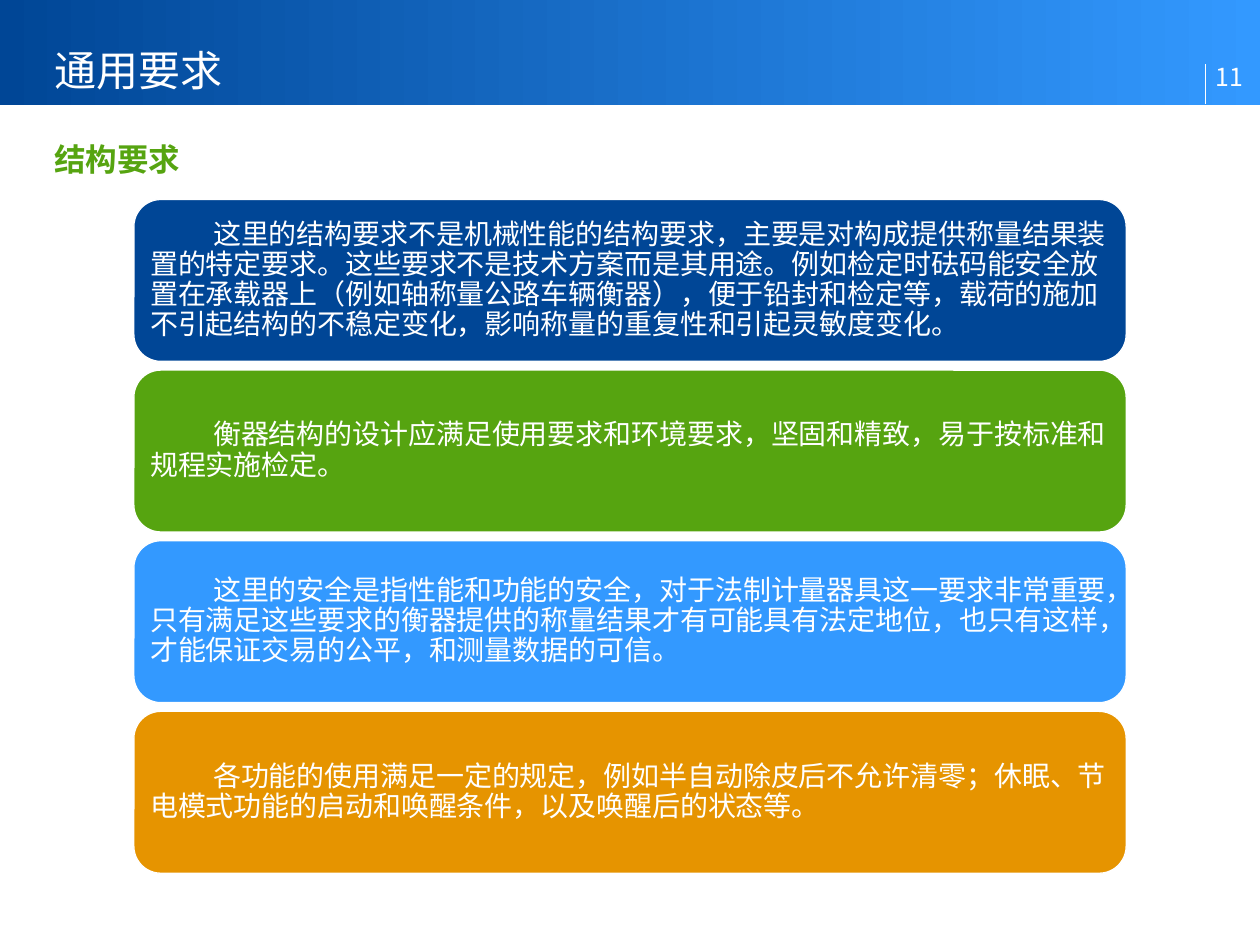
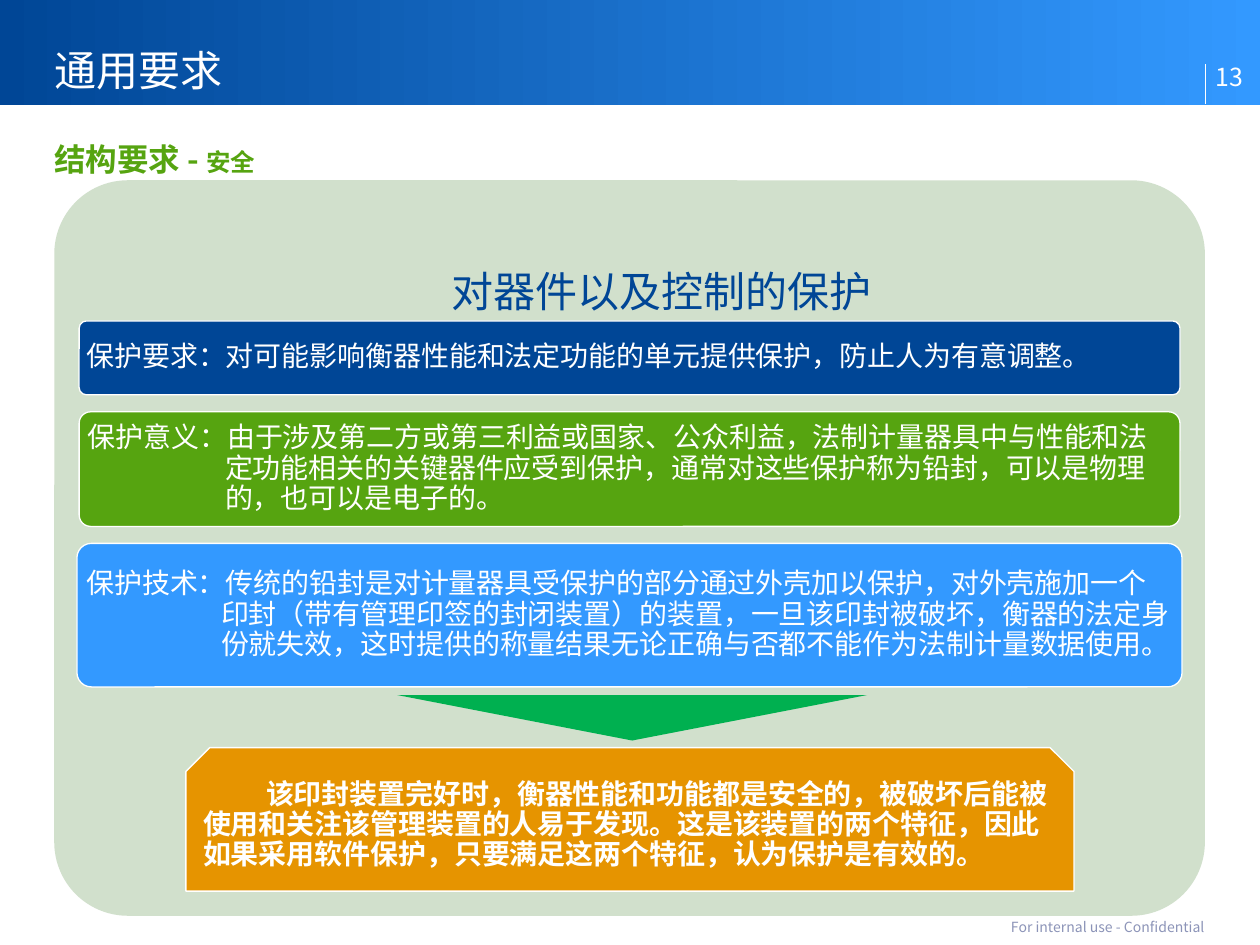
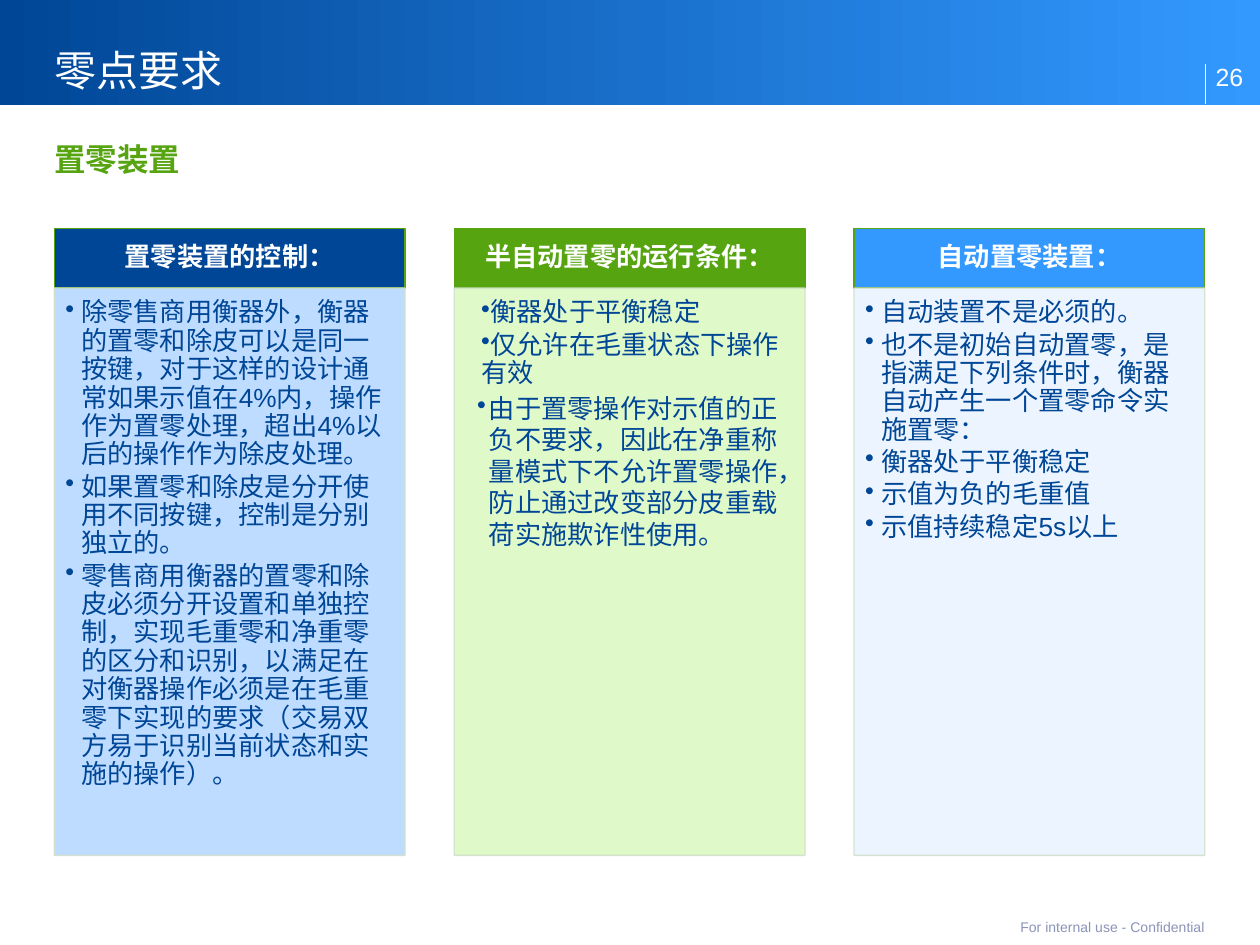
from dataclasses import dataclass

from lxml import etree
from pptx import Presentation
from pptx.dml.color import RGBColor
from pptx.enum import shapes, text
from pptx.oxml import ns
from pptx.util import Pt


@dataclass(frozen=True)
class Theme:
    """Colours and type sizes shared by the slides."""
    navy: str = "004696"
    sky: str = "3399FF"
    green: str = "56A410"
    orange: str = "E69400"
    sage: str = "D1E0CC"
    arrow: str = "00B050"
    white: str = "FFFFFF"
    footer: str = "8C94B8"
    tints: tuple = ("B7D9FF", "DDF9C3", "EAF5FF")
    cjk: str = "Noto Sans CJK SC"
    latin: str = "Arial"
    title: float = 24
    subtitle: float = 18
    suffix: float = 14
    number: float = 14.2
    body: float = 16
    column: float = 15
    small: float = 8


T = Theme()
SHAPE = shapes.MSO_SHAPE
ALIGN = text.PP_ALIGN
ANCHOR = text.MSO_ANCHOR
LEFT, WIDTH = 31, 657.5


def rgb(color):
    """Turn a hex string into a colour."""
    return RGBColor.from_string(color)


def style_run(r, size, color, font, bold=False):
    """Set the font of one run for Latin and East Asian text."""
    r.font.size, r.font.bold, r.font.name = Pt(size), bold, font
    r.font.color.rgb = rgb(color)
    etree.SubElement(r.font._element, ns.qn("a:ea")).set("typeface", T.cjk)


def style_paragraph(p, align=ALIGN.LEFT, spacing=None, after=0, margin=0, indent=0, bullet=False):
    """Set alignment, spacing, indents and bullet of a paragraph."""
    p.alignment, p.line_spacing, p.space_after = align, spacing, Pt(after)
    pPr = p._p.get_or_add_pPr()
    pPr.set("marL", str(Pt(margin)))
    pPr.set("indent", str(Pt(indent)))
    if bullet:
        etree.SubElement(pPr, ns.qn("a:buChar")).set("char", "•")


def set_frame(sp, anchor, insets):
    """Wrap the text of a shape and set its anchor and insets."""
    tf = sp.text_frame
    tf.word_wrap, tf.vertical_anchor = True, anchor
    tf.margin_left, tf.margin_top, tf.margin_right, tf.margin_bottom = map(Pt, insets)
    return tf


def write(sp, content, size, color, font=T.cjk, bold=False, anchor=ANCHOR.MIDDLE,
          insets=(0, 0, 0, 0), **layout):
    """Write one styled paragraph into a shape and return it."""
    tf = set_frame(sp, anchor, insets)
    tf.text = content
    p = tf.paragraphs[0]
    style_paragraph(p, **layout)
    style_run(p.runs[0], size, color, font, bold)
    return p


def add_text(s, box, content, size, color, **options):
    """Add a text box holding one paragraph."""
    return write(s.shapes.add_textbox(*map(Pt, box)), content, size, color, **options)


def add_block(s, kind, box, fill, line=None, corner=None):
    """Add a flat filled shape, with a hairline if a line colour is given."""
    sp = s.shapes.add_shape(kind, *map(Pt, box))
    sp.shadow.inherit = False
    sp.fill.solid()
    sp.fill.fore_color.rgb = rgb(fill)
    if line:
        sp.line.color.rgb = rgb(line)
        sp.line.width = Pt(0)
    else:
        sp.line.fill.background()
    if corner:
        sp.adjustments[0] = corner
    return sp


def set_alpha(sp, percent):
    """Make the fill and line of a shape partly transparent."""
    for color in sp._element.spPr.iter(ns.qn("a:srgbClr")):
        etree.SubElement(color, ns.qn("a:alpha")).set("val", str(percent * 1000))


def add_header(s, title, subtitle, number, font):
    """Draw the gradient band, title, subtitle and page number."""
    band = add_block(s, SHAPE.RECTANGLE, (0, 0, 720, 60), T.navy)
    band.fill.gradient()
    band.fill.gradient_angle = 0
    for stop, color in zip(band.fill.gradient_stops, (T.navy, T.sky)):
        stop.color.rgb = rgb(color)
    rule = s.shapes.add_connector(shapes.MSO_CONNECTOR.STRAIGHT, Pt(689), Pt(59.5), Pt(689), Pt(36.5))
    rule.line.color.rgb = rgb(T.white)
    rule.line.width = Pt(0.5)
    etree.SubElement(rule._element.spPr, ns.qn("a:effectLst"))
    add_text(s, (LEFT, 15, 544, 45), title, T.title, T.white, font=font,
             anchor=ANCHOR.BOTTOM, insets=(0, 0, 0, 5.67), spacing=Pt(26))
    add_text(s, (689, 26, 31, 34), number, T.number, T.white, font=font,
             anchor=ANCHOR.BOTTOM, insets=(5.67, 0, 0, 8))
    return add_text(s, (LEFT, 80, 658, 26), subtitle, T.subtitle, T.green, font=font,
                    bold=True, anchor=ANCHOR.TOP, insets=(0, 0, 0, 5.67))


def add_footer(s, font):
    """Write the confidentiality line at the bottom right."""
    add_text(s, (LEFT, 523.5, WIDTH, 12), "For internal use - Confidential", T.small, T.footer,
             font=font, insets=(0, 3.6, 0, 3.6), align=ALIGN.RIGHT)


def add_cards(s, box, cards, gap):
    """Stack equal rounded cards in a box."""
    x, y, w, h = box
    height = (h - gap * (len(cards) - 1)) / len(cards)
    for i, (color, content) in enumerate(cards):
        card = add_block(s, SHAPE.ROUNDED_RECTANGLE, (x, y + i * (height + gap), w, height),
                         color, T.white)
        write(card, content, T.body, T.white, insets=(4.8, 2.4, 4.8, 2.4),
              spacing=0.9, after=5.6, indent=36)


def add_protection(s, box, heading, bars, conclusion):
    """Draw a panel with a heading, labelled bars, an arrow and a conclusion."""
    x, y, w, h = box
    add_block(s, SHAPE.ROUNDED_RECTANGLE, box, T.sage, corner=0.1)
    add_text(s, (x, y, w, 126), heading, T.title, T.navy, insets=(7.2,) * 4,
             align=ALIGN.CENTER, after=8.4, indent=36)
    inset = dict(insets=(3, 2, 3, 2), spacing=0.9, after=5.6)
    for color, top, height, side, hang, content in bars:
        bar = add_block(s, SHAPE.ROUNDED_RECTANGLE, (x + side, y + top, w - 2 * side, height),
                        color, T.white, 0.1)
        write(bar, content, T.body, T.white, margin=hang, indent=-hang, **inset)
    note = add_block(s, SHAPE.SNIP_2_SAME_RECTANGLE, (x + 75.2, y + 324.2, 507.5, 82), T.orange, T.white)
    write(note, conclusion, T.body, T.white, bold=True, indent=36, **inset)
    arrow = add_block(s, SHAPE.ISOSCELES_TRIANGLE, (x + 196, y + 294.2, 268.5, 26), T.arrow)
    arrow._element.spPr.xfrm.set("flipV", "1")


def add_column(s, box, heading, color, tint, items):
    """Draw a headed column of bullets, each with margin, indent and spacing."""
    x, y, w, h = box
    head = 34.2
    top = add_block(s, SHAPE.RECTANGLE, (x, y, w, head), color, T.green)
    write(top, heading, T.column, T.white, font=T.latin, bold=True,
          insets=(8.4, 4.8, 8.4, 4.8), align=ALIGN.CENTER, spacing=0.9, after=5.25)
    body = add_block(s, SHAPE.RECTANGLE, (x, y + head, w, h - head), tint, T.sage)
    set_alpha(body, 90)
    tf = set_frame(body, ANCHOR.TOP, (6.4, 6.4, 8.5, 9.6))
    tf.text = "\n".join(content for content, _ in items)
    for p, (_, layout) in zip(tf.paragraphs, items):
        style_paragraph(p, bullet=True, **layout)
        style_run(p.runs[0], T.column, T.navy, T.latin)


def build_structure(s):
    """Build the slide on structural requirements."""
    add_header(s, "通用要求", "结构要求", "11", T.cjk)
    add_cards(s, (76.5, 114, 567, 385), [
        (T.navy, "这里的结构要求不是机械性能的结构要求，主要是对构成提供称量结果装置的特定要求。"
                 "这些要求不是技术方案而是其用途。例如检定时砝码能安全放置在承载器上（例如轴称量公路车辆衡器），"
                 "便于铅封和检定等，载荷的施加不引起结构的不稳定变化，影响称量的重复性和引起灵敏度变化。"),
        (T.green, "衡器结构的设计应满足使用要求和环境要求，坚固和精致，易于按标准和规程实施检定。"),
        (T.sky, "这里的安全是指性能和功能的安全，对于法制计量器具这一要求非常重要，"
                "只有满足这些要求的衡器提供的称量结果才有可能具有法定地位，也只有这样，"
                "才能保证交易的公平，和测量数据的可信。"),
        (T.orange, "各功能的使用满足一定的规定，例如半自动除皮后不允许清零；"
                   "休眠、节电模式功能的启动和唤醒条件，以及唤醒后的状态等。"),
    ], gap=5)


def build_security(s):
    """Build the slide on protecting components and controls."""
    subtitle = add_header(s, "通用要求", "结构要求 - ", "13", T.cjk)
    r = subtitle.add_run()
    r.text = "安全"
    style_run(r, T.suffix, T.green, T.cjk, True)
    add_protection(s, (LEFT, 103, WIDTH, 420.3), "对器件以及控制的保护", [
        (T.navy, 80.4, 42.2, 14.2, 0, "保护要求：对可能影响衡器性能和法定功能的单元提供保护，防止人为有意调整。"),
        (T.green, 132.3, 65.5, 14.2, 78.5,
         "保护意义：由于涉及第二方或第三利益或国家、公众利益，法制计量器具中与性能和法定功能相关的"
         "关键器件应受到保护，通常对这些保护称为铅封，可以是物理的，也可以是电子的。"),
        (T.sky, 207.5, 82, 13, 77,
         "保护技术：传统的铅封是对计量器具受保护的部分通过外壳加以保护，对外壳施加一个印封"
         "（带有管理印签的封闭装置）的装置，一旦该印封被破坏，衡器的法定身份就失效，"
         "这时提供的称量结果无论正确与否都不能作为法制计量数据使用。"),
    ], "该印封装置完好时，衡器性能和功能都是安全的，被破坏后能被使用和关注该管理装置的人易于发现。"
       "这是该装置的两个特征，因此如果采用软件保护，只要满足这两个特征，认为保护是有效的。")
    add_footer(s, T.cjk)


def build_zero(s):
    """Build the slide on zero-setting devices."""
    add_header(s, "零点要求", "置零装置", "26", T.latin)
    add_footer(s, T.latin)
    hanging = dict(spacing=0.9, after=2.25, margin=9, indent=-9)
    flush = dict(hanging, indent=0)
    loose = dict(margin=13.5, indent=-6.75)
    columns = [
        ("置零装置的控制：", T.navy, [
            ("除零售商用衡器外，衡器的置零和除皮可以是同一按键，对于这样的设计通常如果示值在4%内，"
             "操作作为置零处理，超出4%以后的操作作为除皮处理。", hanging),
            ("如果置零和除皮是分开使用不同按键，控制是分别独立的。", hanging),
            ("零售商用衡器的置零和除皮必须分开设置和单独控制，实现毛重零和净重零的区分和识别，"
             "以满足在对衡器操作必须是在毛重零下实现的要求（交易双方易于识别当前状态和实施的操作）。", hanging)]),
        ("半自动置零的运行条件：", T.green, [
            ("衡器处于平衡稳定", flush),
            ("仅允许在毛重状态下操作有效", flush),
            ("由于置零操作对示值的正负不要求，因此在净重称量模式下不允许置零操作，"
             "防止通过改变部分皮重载荷实施欺诈性使用。", loose)]),
        ("自动置零装置：", T.sky, [
            ("自动装置不是必须的。", hanging),
            ("也不是初始自动置零，是指满足下列条件时，衡器自动产生一个置零命令实施置零：", hanging),
            ("衡器处于平衡稳定", hanging),
            ("示值为负的毛重值", hanging),
            ("示值持续稳定5s以上", hanging)]),
    ]
    width = 200.5
    pitch = (WIDTH - width) / (len(columns) - 1)
    for i, ((heading, color, items), tint) in enumerate(zip(columns, T.tints)):
        add_column(s, (LEFT + i * pitch, 130.4, width, 358.4), heading, color, tint, items)


def main():
    """Build and save the presentation."""
    prs = Presentation()
    prs.slide_width, prs.slide_height = Pt(720), Pt(540)
    for build in (build_structure, build_security, build_zero):
        build(prs.slides.add_slide(prs.slide_layouts[6]))
    prs.save("out.pptx")


if __name__ == "__main__":
    main()
